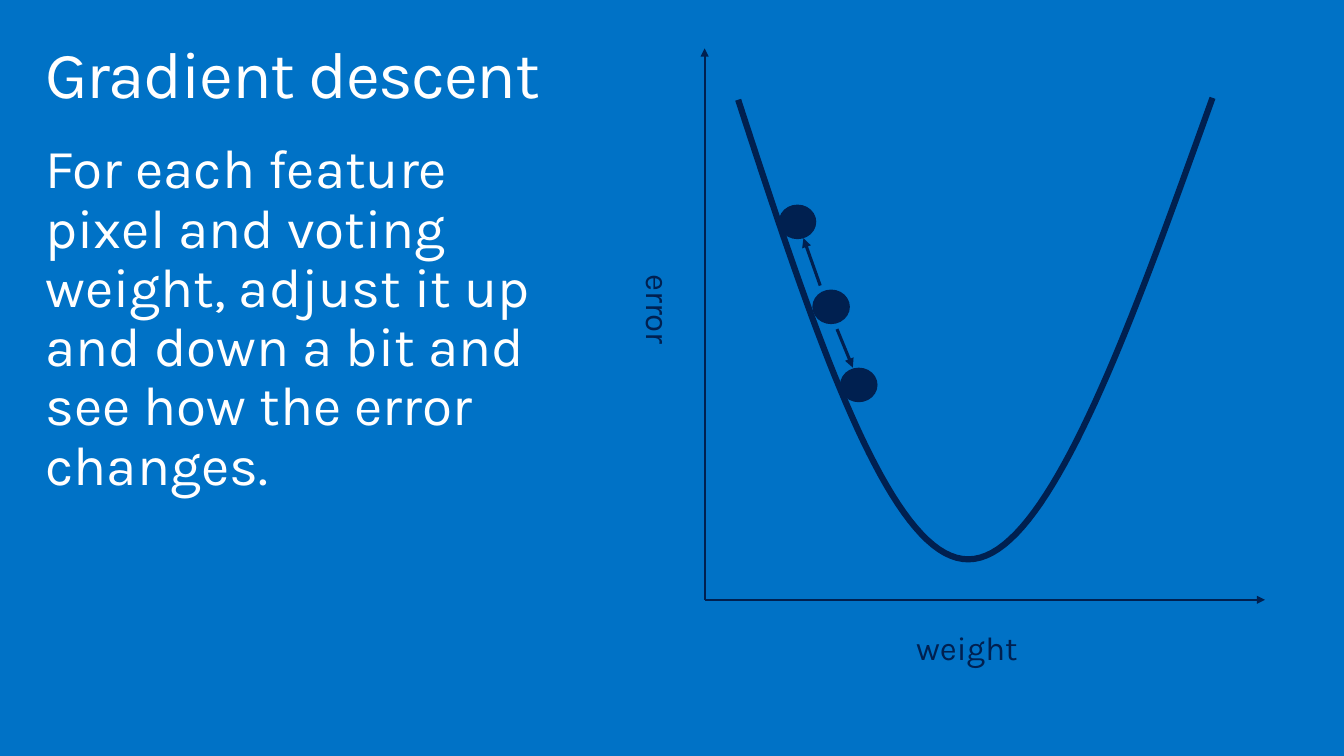
"""Builds a slide on gradient descent with an error curve over a weight."""
from dataclasses import dataclass

from lxml import etree
from pptx import Presentation
from pptx import util as u
from pptx.dml.color import RGBColor
from pptx.enum import shapes, text
from pptx.oxml import ns


@dataclass(frozen=True)
class Theme:
    blue: str = "0072C6"
    navy: str = "002050"
    white: str = "FFFFFF"
    face: str = "Karla"
    title: int = 48
    body: int = 40
    label: int = 24
    curve: float = 4.5
    axis: float = 1.5
    step: float = 2.25


@dataclass(frozen=True)
class Box:
    left: float
    top: float
    width: float
    height: float

    def place(self) -> list:
        return [u.Inches(v) for v in (self.left, self.top, self.width, self.height)]


@dataclass(frozen=True)
class Label:
    words: str
    box: Box
    turn: int = 0


@dataclass(frozen=True)
class Arrow:
    start: tuple[float, float]
    end: tuple[float, float]
    weight: float


THEME = Theme()
TITLE = Box(0.3, 0.32, 13, 1)
BODY = Box(0.3, 1.33, 5.46, 3.23)
LABELS = [
    Label("weight", Box(9.07, 6.24, 1.52, 0.68)),
    Label("error", Box(6.04, 2.84, 1.21, 0.68), 90),
]
BALLS = [Box(x, y, 0.38, 0.35) for x, y in ((8.22, 2.93), (8.5, 3.72), (7.88, 2.07))]
ORIGIN = (7.13, 6.07)
ARROWS = [
    Arrow(ORIGIN, (7.13, 0.49), THEME.axis),
    Arrow(ORIGIN, (12.8, 6.07), THEME.axis),
    Arrow((8.3, 2.89), (8.13, 2.41), THEME.step),
    Arrow((8.47, 3.33), (8.63, 3.72), THEME.step),
]
CURVE = [
    ((7.47, 1.01), (8.23, 3.34), (9, 5.67), (9.8, 5.66)),
    ((9.8, 5.66), (10.6, 5.66), (11.43, 3.33), (12.27, 0.99)),
]
STEPS = 40


def color(code: str) -> RGBColor:
    return RGBColor.from_string(code)


def write(shape, words: str, size: int, code: str, inset: tuple, wrap: bool = True):
    frame = shape.text_frame
    frame.text = words
    frame.auto_size = text.MSO_AUTO_SIZE.NONE
    frame.word_wrap = wrap
    frame.vertical_anchor = text.MSO_ANCHOR.TOP
    frame.margin_left = frame.margin_right = u.Inches(inset[0])
    frame.margin_top = frame.margin_bottom = u.Inches(inset[1])
    para = frame.paragraphs[0]
    props = para._p.get_or_add_pPr()
    props.set("marL", "0")
    props.set("indent", "0")
    etree.SubElement(props, ns.qn("a:buNone"))
    para.alignment = text.PP_ALIGN.LEFT
    para.line_spacing = 0.9
    para.space_before = u.Pt(0)
    para.font.name = THEME.face
    para.font.size = u.Pt(size)
    para.font.color.rgb = color(code)
    return para


def fill_holder(shape, box: Box, words: str, size: int):
    shape.left, shape.top, shape.width, shape.height = box.place()
    return write(shape, words, size, THEME.white, (0.16, 0.1))


def add_label(slide, label: Label) -> None:
    shape = slide.shapes.add_textbox(*label.box.place())
    shape.rotation = label.turn
    para = write(shape, label.words, THEME.label, THEME.navy, (0.2, 0.16), False)
    para.space_after = u.Pt(6)


def add_ball(slide, box: Box) -> None:
    ball = slide.shapes.add_shape(shapes.MSO_SHAPE.OVAL, *box.place())
    ball.shadow.inherit = False
    ball.fill.solid()
    ball.fill.fore_color.rgb = color(THEME.navy)
    ball.line.fill.background()


def stroke(line, weight: float) -> None:
    line.color.rgb = color(THEME.navy)
    line.width = u.Pt(weight)


def add_arrow(slide, arrow: Arrow) -> None:
    ends = [u.Inches(v) for v in arrow.start + arrow.end]
    link = slide.shapes.add_connector(shapes.MSO_CONNECTOR.STRAIGHT, *ends)
    stroke(link.line, arrow.weight)
    etree.SubElement(link.line._get_or_add_ln(), ns.qn("a:tailEnd"), type="triangle")
    etree.SubElement(link._element.spPr, ns.qn("a:effectLst"))


def bezier(knots: tuple, t: float) -> tuple:
    parts = ((1 - t) ** 3, 3 * t * (1 - t) ** 2, 3 * t * t * (1 - t), t ** 3)
    return tuple(u.Inches(sum(p * k[i] for p, k in zip(parts, knots))) for i in (0, 1))


def add_curve(slide) -> None:
    points = [bezier(knots, n / STEPS) for knots in CURVE for n in range(1, STEPS + 1)]
    pen = slide.shapes.build_freeform(*bezier(CURVE[0], 0))
    pen.add_line_segments(points, close=False)
    curve = pen.convert_to_shape()
    curve.shadow.inherit = False
    curve.fill.background()
    stroke(curve.line, THEME.curve)


def main() -> None:
    deck = Presentation()
    deck.slide_width, deck.slide_height = u.Inches(13.6), u.Inches(7.65)
    slide = deck.slides.add_slide(deck.slide_layouts[1])
    slide.background.fill.solid()
    slide.background.fill.fore_color.rgb = color(THEME.blue)
    head = fill_holder(slide.shapes.title, TITLE, "Gradient descent", THEME.title)
    head.font._element.set("spc", "-100")
    fill_holder(
        slide.placeholders[1],
        BODY,
        "For each feature pixel and voting weight, adjust it up and down a bit "
        "and see how the error changes.",
        THEME.body,
    )
    add_curve(slide)
    for label in LABELS:
        add_label(slide, label)
    for ball in BALLS:
        add_ball(slide, ball)
    for arrow in ARROWS:
        add_arrow(slide, arrow)
    deck.save("out.pptx")


if __name__ == "__main__":
    main()
